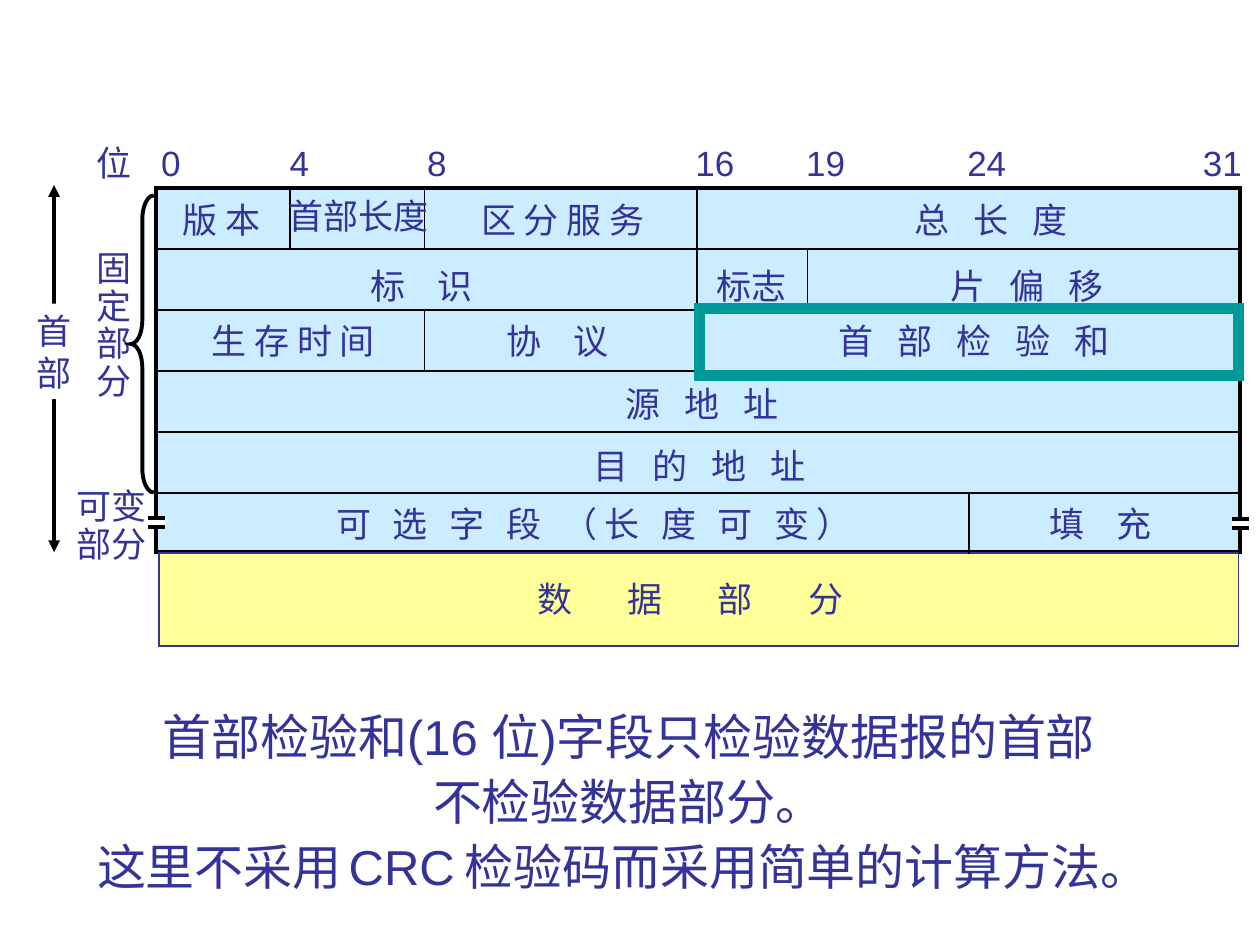
from lxml import etree
from pptx import Presentation
from pptx.dml.color import RGBColor
from pptx.enum.shapes import MSO_CONNECTOR, MSO_SHAPE
from pptx.enum.text import PP_ALIGN
from pptx.oxml.ns import qn
from pptx.util import Cm, Pt

RECTANGLE = MSO_SHAPE.RECTANGLE
BRACE = MSO_SHAPE.LEFT_BRACE
STRAIGHT = MSO_CONNECTOR.STRAIGHT
LEFT = PP_ALIGN.LEFT
CENTER = PP_ALIGN.CENTER

BLACK = "000000"
WHITE = "FFFFFF"
INDIGO = "333399"
HEADER_BLUE = "CCECFF"
DATA_YELLOW = "FFFF99"
TEAL = "009999"

HEADER_LEFT, HEADER_RIGHT = 3.15, 25.0
HEADER_TOP, ROW_HEIGHT = 3.79, 1.23
LABEL_HEIGHT = 1.1
TRACKING_ROOM = 0.6
BIT_X = {4: 5.84, 8: 8.56, 16: 14.05, 19: 16.28, 24: 19.53}
BIT_DIVIDERS = [(4, 0, 1), (8, 0, 1), (8, 2, 3), (16, 0, 3), (19, 1, 2), (24, 5, 6)]
BIT_LABELS = [
    ("位", 1.7, 1.22), ("0", 3.0, 0.89), ("4", 5.59, 0.89), ("8", 8.36, 0.89),
    ("16", 13.77, 1.3), ("19", 16.0, 1.3), ("24", 19.25, 1.3), ("31", 24.0, 1.3),
]
FIELD_ROWS = [
    (3.8, [("首部长度", 5.56, 3.33, 0)]),
    (3.87, [("版 本", 3.43, 2.08, 0), ("区 分 服 务", 9.45, 3.81, 0),
            ("总 长 度", 18.19, 3.58, 4.6)]),
    (5.21, [("标 识", 7.21, 2.54, 6.9), ("标志", 14.2, 1.93, 0),
            ("片 偏 移", 18.92, 3.58, 4.6)]),
    (6.32, [("生 存 时 间", 4.01, 3.81, 0), ("协 议", 9.96, 2.54, 6.9),
            ("首 部 检 验 和", 16.66, 5.94, 4.6)]),
    (7.59, [("源 地 址", 12.37, 3.58, 4.6)]),
    (8.84, [("目 的 地 址", 11.71, 4.75, 4.6)]),
    (10.01, [("可 选 字 段 （长 度 可 变）", 6.53, 10.74, 3.9),
             ("填 充", 20.9, 2.54, 6.9)]),
    (11.51, [("数 据 部 分", 10.59, 8.08, 13.5)]),
]
CONCLUSION = [
    [("首部检验和(16 位)字段只检验数据报的首部", 28)],
    [("不检验数据部分。", 28)],
    [("这里不采用", 28), (" ", 18), ("CRC", 28), (" ", 20),
     ("检验码而采用简单的计算方法。 ", 28)],
]


def color(value):
    return RGBColor.from_string(value)


def set_format(target, values):
    for name, value in values.items():
        setattr(target, name, value)


def add_block(slide, box, fill=None, line=None, width=1, preset=RECTANGLE):
    block = slide.shapes.add_shape(preset, *[Cm(v) for v in box])
    block.shadow.inherit = False
    if fill:
        block.fill.solid()
        block.fill.fore_color.rgb = color(fill)
    else:
        block.fill.background()
    if line:
        block.line.color.rgb = color(line)
        block.line.width = Pt(width)
        outline = block.line._get_or_add_ln()
        etree.SubElement(outline, qn("a:miter")).set("lim", "800000")
    else:
        block.line.fill.background()
    return block


def add_rule(slide, start, end, width=1, arrows=False):
    rule = slide.shapes.add_connector(STRAIGHT, *[Cm(v) for v in (*start, *end)])
    rule.line.color.rgb = color(BLACK)
    rule.line.width = Pt(width)
    if arrows:
        outline = rule.line._get_or_add_ln()
        for end_name in ("a:headEnd", "a:tailEnd"):
            etree.SubElement(outline, qn(end_name)).set("type", "triangle")
    etree.SubElement(rule._element.spPr, qn("a:effectLst"))


def write_lines(frame, lines, leading=1.0, align=LEFT, tracking=0):
    set_format(frame, {
        "word_wrap": tracking > 0,
        "margin_left": Cm(0.25), "margin_right": Cm(0.25),
        "margin_top": Cm(0.13), "margin_bottom": Cm(0.13),
    })
    for index, line in enumerate(lines):
        paragraph = frame.paragraphs[0] if index == 0 else frame.add_paragraph()
        set_format(paragraph, {"alignment": align, "line_spacing": leading})
        pieces = [(line, 20)] if isinstance(line, str) else line
        for text, size in pieces:
            run = paragraph.add_run()
            run.text = text
            set_format(run.font, {"name": "Arial", "size": Pt(size)})
            run.font.color.rgb = color(INDIGO)
            if tracking:
                run._r.get_or_add_rPr().set("spc", str(round(tracking * 100)))


def add_label(slide, box, lines, **style):
    label = slide.shapes.add_textbox(*[Cm(v) for v in box])
    write_lines(label.text_frame, lines, **style)


def add_break_mark(slide, left, top):
    add_block(slide, (left, top, 0.36, 0.18), WHITE)
    for y in (top, top + 0.18):
        add_rule(slide, (left, y), (left + 0.33, y), 2)


def add_header_grid(slide):
    width = HEADER_RIGHT - HEADER_LEFT
    add_block(slide, (HEADER_LEFT, HEADER_TOP, width, 7.34), HEADER_BLUE, BLACK, 2)
    add_block(slide, (3.2, 11.15, 21.77, 1.88), DATA_YELLOW, INDIGO, 1)
    for row in range(1, 6):
        y = HEADER_TOP + row * ROW_HEIGHT
        add_rule(slide, (HEADER_LEFT, y), (HEADER_RIGHT, y))
    for bit, first, last in BIT_DIVIDERS:
        x = BIT_X[bit]
        add_rule(slide, (x, HEADER_TOP + first * ROW_HEIGHT),
                 (x, HEADER_TOP + last * ROW_HEIGHT))


def add_field_labels(slide):
    for text, left, width in BIT_LABELS:
        add_label(slide, (left, 2.72, width, LABEL_HEIGHT), [text])
    for top, fields in FIELD_ROWS:
        for text, left, width, tracking in fields:
            room = TRACKING_ROOM if tracking else 0
            add_label(slide, (left, top, width + room, LABEL_HEIGHT), [text],
                      tracking=tracking)


def add_header_span(slide):
    add_rule(slide, (1.09, 3.73), (1.09, 11.13), 2.25, arrows=True)
    span = add_block(slide, (0.48, 6.12, 1.22, 1.93), WHITE)
    write_lines(span.text_frame, ["首", "部"])
    add_label(slide, (1.7, 4.93, 1.22, 3.3), list("固定部分"), leading=0.9)
    add_label(slide, (1.3, 9.73, 1.93, 1.78), ["可变", "部分"], leading=0.9)
    brace = add_block(slide, (2.64, 3.94, 0.46, 5.99), None, BLACK, 2.25, BRACE)
    brace.adjustments[0] = 1.05


def main():
    deck = Presentation()
    set_format(deck, {"slide_width": Cm(25.4), "slide_height": Cm(19.05)})
    slide = deck.slides.add_slide(deck.slide_layouts[6])
    add_header_span(slide)
    add_header_grid(slide)
    add_field_labels(slide)
    add_break_mark(slide, 2.99, 10.44)
    add_break_mark(slide, 24.84, 10.46)
    add_block(slide, (14.1, 6.22, 10.87, 1.35), None, TEAL, 6)
    add_label(slide, (1.55, 14.0, 22.25, 4.17), CONCLUSION, leading=1.1, align=CENTER)
    deck.save("out.pptx")


if __name__ == "__main__":
    main()
